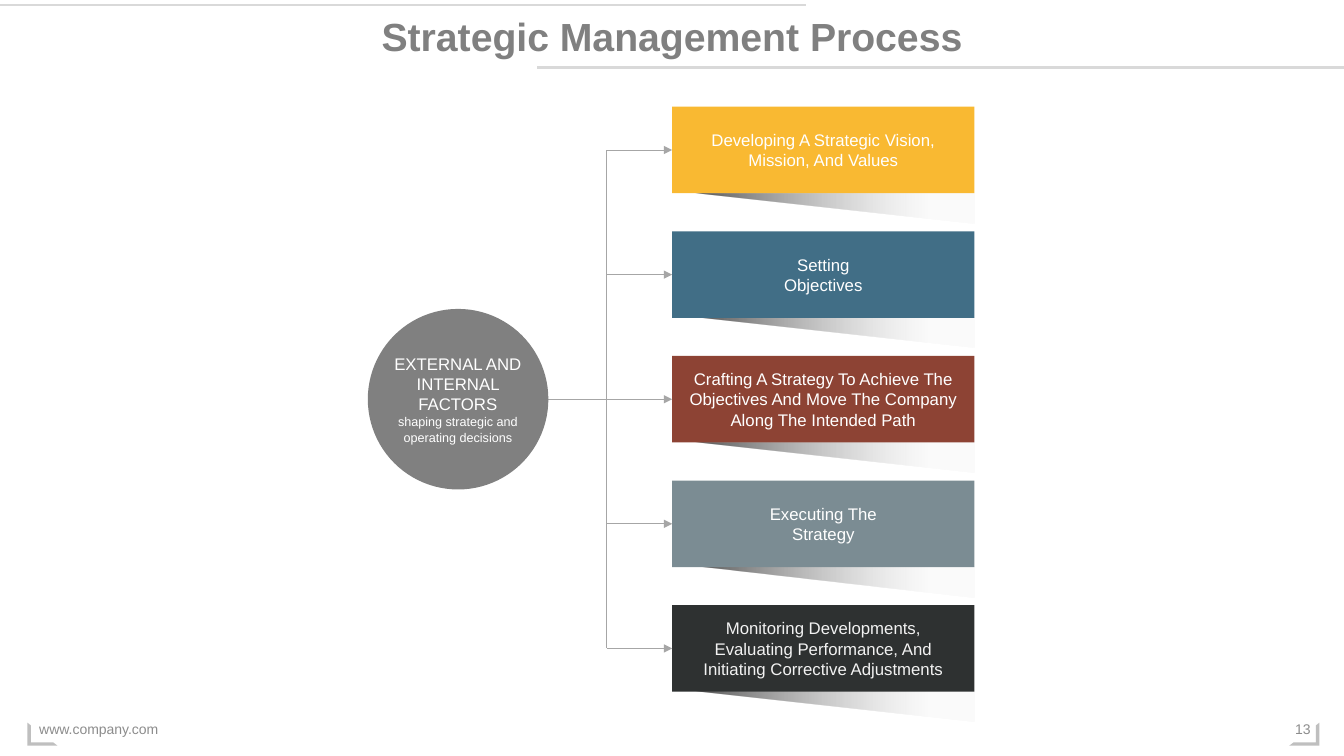
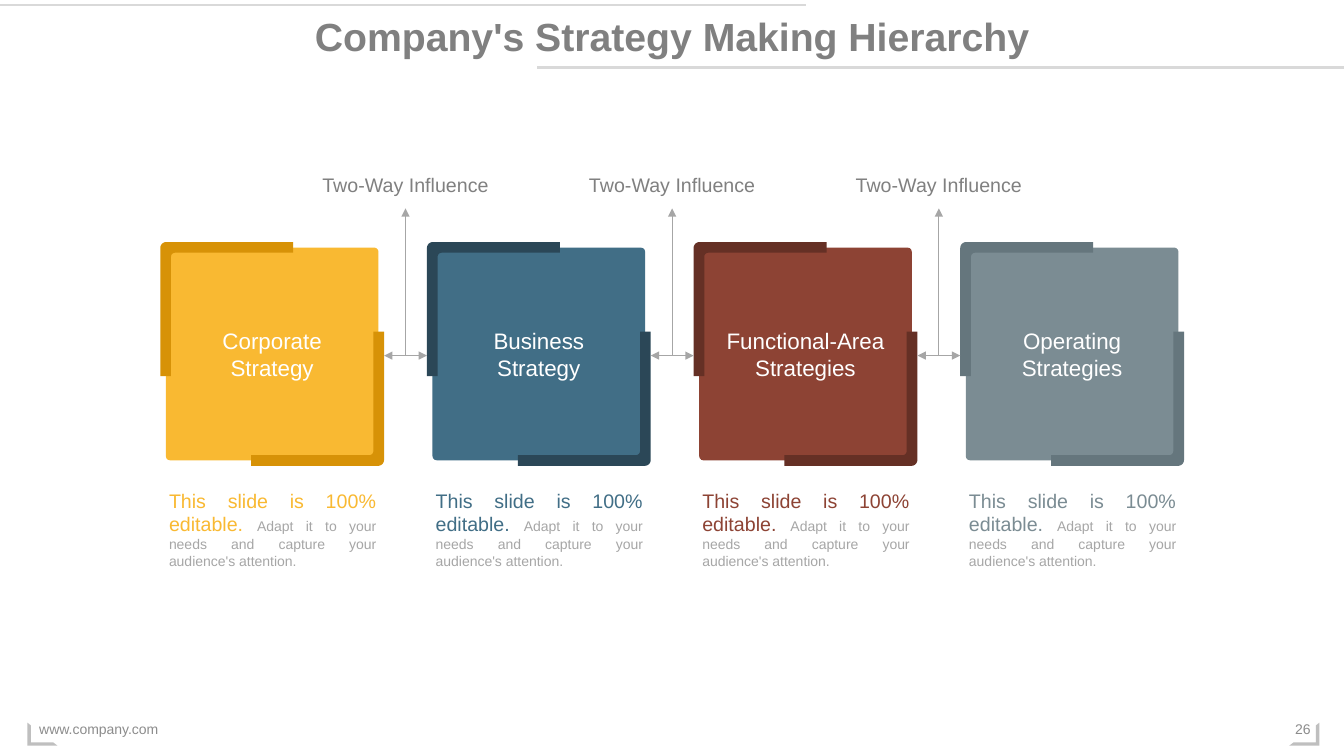
from dataclasses import dataclass
from math import cos, radians, sin

from lxml import etree
from pptx import Presentation
from pptx import util as u
from pptx.dml.color import RGBColor
from pptx.enum import shapes, text
from pptx.oxml.ns import qn
from pptx.presentation import Presentation as Deck
from pptx.shapes.autoshape import Shape
from pptx.shapes.connector import Connector
from pptx.slide import Slide
from pptx.text.text import TextFrame

# Colours
WHITE = RGBColor(0xFF, 0xFF, 0xFF)
OFF_WHITE = RGBColor(0xF2, 0xF2, 0xF2)
RULE_GREY = RGBColor(0xD9, 0xD9, 0xD9)
FRAME_GREY = RGBColor(0xBF, 0xBF, 0xBF)
LINE_GREY = RGBColor(0xA6, 0xA6, 0xA6)
FOOTER_GREY = RGBColor(0x8C, 0x8C, 0x8C)
TITLE_GREY = RGBColor(0x80, 0x80, 0x80)
BLACK = RGBColor(0x00, 0x00, 0x00)
YELLOW = RGBColor(0xF9, 0xB9, 0x32)
BLUE = RGBColor(0x41, 0x6E, 0x86)
RED = RGBColor(0x8D, 0x43, 0x34)
SLATE = RGBColor(0x7B, 0x8C, 0x93)
CHARCOAL = RGBColor(0x2E, 0x31, 0x31)
DARK_YELLOW = RGBColor(0xD7, 0x92, 0x07)
DARK_BLUE = RGBColor(0x2B, 0x47, 0x57)
DARK_RED = RGBColor(0x65, 0x30, 0x25)
DARK_SLATE = RGBColor(0x65, 0x76, 0x7D)

FONT = "Arial"
SLIDE_W, SLIDE_H = 33.87, 19.05  # all lengths are in centimetres
TITLE_ONLY = 5
LEFT_SIDE = 1
ALIGN = text.PP_ALIGN
ANCHOR = text.MSO_ANCHOR
PRESET = shapes.MSO_SHAPE

Point = tuple[float, float]
Box = tuple[float, float, float, float]


@dataclass(frozen=True)
class Run:
    text: str
    size: float
    color: RGBColor
    bold: bool = False


@dataclass(frozen=True)
class Step:
    label: str
    fill: RGBColor
    inset: float
    color: RGBColor = WHITE


@dataclass(frozen=True)
class Strategy:
    label: str
    fill: RGBColor
    bracket: RGBColor


STEPS = [
    Step("Developing A Strategic Vision, Mission, And Values", YELLOW, 0.99),
    Step("Setting Objectives", BLUE, 2.24),
    Step("Crafting A Strategy To Achieve The Objectives And Move "
         "The Company Along The Intended Path", RED, 0.33),
    Step("Executing The Strategy", SLATE, 2.24),
    Step("Monitoring Developments, Evaluating Performance, And "
         "Initiating Corrective Adjustments", CHARCOAL, 0.47, OFF_WHITE),
]

STRATEGIES = [
    Strategy("Corporate Strategy", YELLOW, DARK_YELLOW),
    Strategy("Business Strategy", BLUE, DARK_BLUE),
    Strategy("Functional-Area Strategies", RED, DARK_RED),
    Strategy("Operating Strategies", SLATE, DARK_SLATE),
]


# Drawing helpers
def write(frame: TextFrame, paragraphs: list[list[Run]], align: ALIGN,
          anchor: ANCHOR = ANCHOR.TOP) -> None:
    frame.word_wrap = True
    frame.auto_size = text.MSO_AUTO_SIZE.NONE
    frame.vertical_anchor = anchor
    for index, runs in enumerate(paragraphs):
        paragraph = frame.add_paragraph() if index else frame.paragraphs[0]
        paragraph.alignment = align
        for item in runs:
            run = paragraph.add_run()
            run.text = item.text
            run.font.name = FONT
            run.font.size = u.Pt(item.size)
            run.font.bold = item.bold
            run.font.color.rgb = item.color


def add_text(slide: Slide, box: Box, paragraphs: list[list[Run]], align: ALIGN,
             anchor: ANCHOR = ANCHOR.TOP) -> None:
    label = slide.shapes.add_textbox(*map(u.Cm, box))
    write(label.text_frame, paragraphs, align, anchor)


def add_preset(slide: Slide, kind: PRESET, box: Box, fill: RGBColor) -> Shape:
    shape = slide.shapes.add_shape(kind, *map(u.Cm, box))
    shape.shadow.inherit = False
    shape.fill.solid()
    shape.fill.fore_color.rgb = fill
    shape.line.fill.background()
    return shape


def write_inside(shape: Shape, run: Run, inset: float) -> None:
    frame = shape.text_frame
    frame.margin_left = frame.margin_right = u.Cm(inset)
    write(frame, [[run]], ALIGN.CENTER, ANCHOR.MIDDLE)


def add_outline(slide: Slide, points: list[Point]) -> Shape:
    start, *rest = [(u.Cm(x), u.Cm(y)) for x, y in points]
    builder = slide.shapes.build_freeform(*start)
    builder.add_line_segments(rest, close=True)
    outline = builder.convert_to_shape()
    outline.shadow.inherit = False
    outline.line.fill.background()
    return outline


def add_line(slide: Slide, start: Point, end: Point, color: RGBColor = LINE_GREY,
             width: float = 0.5, head: bool = False, tail: bool = False) -> Connector:
    line = slide.shapes.add_connector(
        shapes.MSO_CONNECTOR.STRAIGHT, *map(u.Cm, start + end))
    line.line.color.rgb = color
    line.line.width = u.Pt(width)
    properties = line._element.spPr
    for tag, wanted in (("a:headEnd", head), ("a:tailEnd", tail)):
        if wanted:
            etree.SubElement(properties.find(qn("a:ln")), qn(tag), type="triangle")
    etree.SubElement(properties, qn("a:effectLst"))
    return line


# Parts shared by the slides
def add_base_slide(deck: Deck, title: str, number: str) -> Slide:
    slide = deck.slides.add_slide(deck.slide_layouts[TITLE_ONLY])
    add_line(slide, (0, 0.13), (20.32, 0.13), RULE_GREY, 1.5)
    add_line(slide, (13.54, 1.7), (SLIDE_W, 1.7), RULE_GREY, 1.5)

    for left, mirrored in ((32.49, False), (0.69, True)):
        corner = add_preset(slide, PRESET.HALF_FRAME, (left, 18.21, 0.76, 0.58), FRAME_GREY)
        corner.adjustments[0], corner.adjustments[1] = 0.14, 0.15
        corner.rotation = 180
        if mirrored:
            corner._element.spPr.xfrm.set("flipH", "1")

    add_text(slide, (0.74, 17.86, 11.43, 1.02),
             [[Run("www.company.com", 10, FOOTER_GREY)]], ALIGN.LEFT, ANCHOR.MIDDLE)
    add_text(slide, (32.21, 17.86, 1.07, 1.02),
             [[Run(number, 10, FOOTER_GREY)]], ALIGN.RIGHT, ANCHOR.MIDDLE)

    heading = slide.shapes.title
    heading.left, heading.top = u.Cm(0), u.Cm(0.18)
    heading.width, heading.height = u.Cm(SLIDE_W), u.Cm(1.45)
    write(heading.text_frame, [[Run(title, 28, TITLE_GREY, True)]], ALIGN.CENTER)
    return slide


# Process slide
def add_wedge_shadow(slide: Slide, left: float, top: float, right: float) -> None:
    wedge = add_outline(slide, [(left, top), (right, top), (right, top + 0.76)])
    wedge.fill.gradient()
    wedge.fill.gradient_angle = 180
    stops = ((0.16, LINE_GREY), (1.0, BLACK))
    for stop, (position, color) in zip(wedge.fill.gradient_stops, stops):
        stop.position = position
        stop.color.rgb = color
    colors = wedge._element.spPr.iter(qn("a:srgbClr"))
    for color, opacity in zip(list(colors), (5000, 67000)):
        etree.SubElement(color, qn("a:alpha"), val=str(opacity))


def build_process(deck: Deck) -> None:
    slide = add_base_slide(deck, "Strategic Management Process", "13")
    left, first_top, pitch, width, height = 16.94, 2.69, 3.14, 7.62, 2.18
    trunk_x = 15.29
    middles = [first_top + pitch * i + height / 2 for i in range(len(STEPS))]
    center_y = middles[len(STEPS) // 2]

    # Trunk and steps
    add_line(slide, (trunk_x, middles[0]), (trunk_x, middles[-1]))
    for step, middle in zip(STEPS, middles):
        top = middle - height / 2
        add_wedge_shadow(slide, left + 0.6, top + height, left + width)
        step_box = add_preset(slide, PRESET.RECTANGLE, (left, top, width, height), step.fill)
        write_inside(step_box, Run(step.label, 12, step.color), step.inset)
        branch = add_line(slide, (trunk_x, middle), (left, middle), tail=True)
        branch.end_connect(step_box, LEFT_SIDE)

    # Factors circle
    circle_left, diameter = 9.27, 4.55
    add_line(slide, (trunk_x, center_y), (circle_left + diameter, center_y))
    add_preset(slide, PRESET.OVAL,
               (circle_left, center_y - diameter / 2, diameter, diameter), TITLE_GREY)
    add_text(slide, (9.37, 8.79, 4.34, 2.57),
             [[Run("EXTERNAL AND INTERNAL FACTORS", 12, WHITE)],
              [Run("shaping strategic and operating decisions", 9, WHITE)]], ALIGN.CENTER)


# Hierarchy slide
def arc(center: float, radius: float, start: int, end: int) -> list[Point]:
    angles = [radians(start + (end - start) * i / 6) for i in range(7)]
    return [(center + radius * cos(a), center + radius * sin(a)) for a in angles]


def bracket_points() -> list[Point]:
    """Top-left bracket, measured from the corner of its card."""
    across, down, thick = 3.35, 3.38, 0.27
    return [*arc(0.15, 0.15, 180, 270), (across, 0), (across, thick),
            *arc(thick + 0.1, 0.1, 270, 180), (thick, down), (0, down)]


def add_card(slide: Slide, strategy: Strategy, left: float, top: float, size: float) -> None:
    margin = 0.14
    side = size - 2 * margin
    square = add_preset(slide, PRESET.ROUNDED_RECTANGLE,
                        (left + margin, top + margin, side, side), strategy.fill)
    square.adjustments[0] = 0.02
    write_inside(square, Run(strategy.label, 16, WHITE), 0.58)

    # The second bracket is the first turned about the card centre
    corner = bracket_points()
    opposite = [(size - x, size - y) for x, y in corner]
    for points in (opposite, corner):
        bracket = add_outline(slide, [(left + x, top + y) for x, y in points])
        bracket.fill.solid()
        bracket.fill.fore_color.rgb = strategy.bracket

    add_text(slide, (left - 0.03, 12.19, 5.72, 2.31),
             [[Run("This slide is 100% editable. ", 14, strategy.fill),
               Run("Adapt it to your needs and capture your audience's attention.",
                   10, LINE_GREY)]], ALIGN.JUSTIFY)


def add_influence(slide: Slide, left: float, right: float, y: float) -> None:
    center, label_width = (left + right) / 2, 4.78
    add_line(slide, (left, y), (right, y), head=True, tail=True)
    add_line(slide, (center, y), (center, 5.25), tail=True)
    add_text(slide, (center - label_width / 2, 4.24, label_width, 0.86),
             [[Run("Two-Way Influence", 14, TITLE_GREY)]], ALIGN.CENTER)


def build_hierarchy(deck: Deck) -> None:
    slide = add_base_slide(deck, "Company's Strategy Making Hierarchy", "26")
    top, size, pitch = 6.1, 5.64, 6.72
    lefts = [4.04 + pitch * i for i in range(len(STRATEGIES))]
    for strategy, left in zip(STRATEGIES, lefts):
        add_card(slide, strategy, left, top, size)
    for left, following in zip(lefts, lefts[1:]):
        add_influence(slide, left + size, following, 8.96)


def main() -> None:
    deck = Presentation()
    deck.slide_width, deck.slide_height = u.Cm(SLIDE_W), u.Cm(SLIDE_H)
    build_process(deck)
    build_hierarchy(deck)
    deck.save("out.pptx")


if __name__ == "__main__":
    main()
